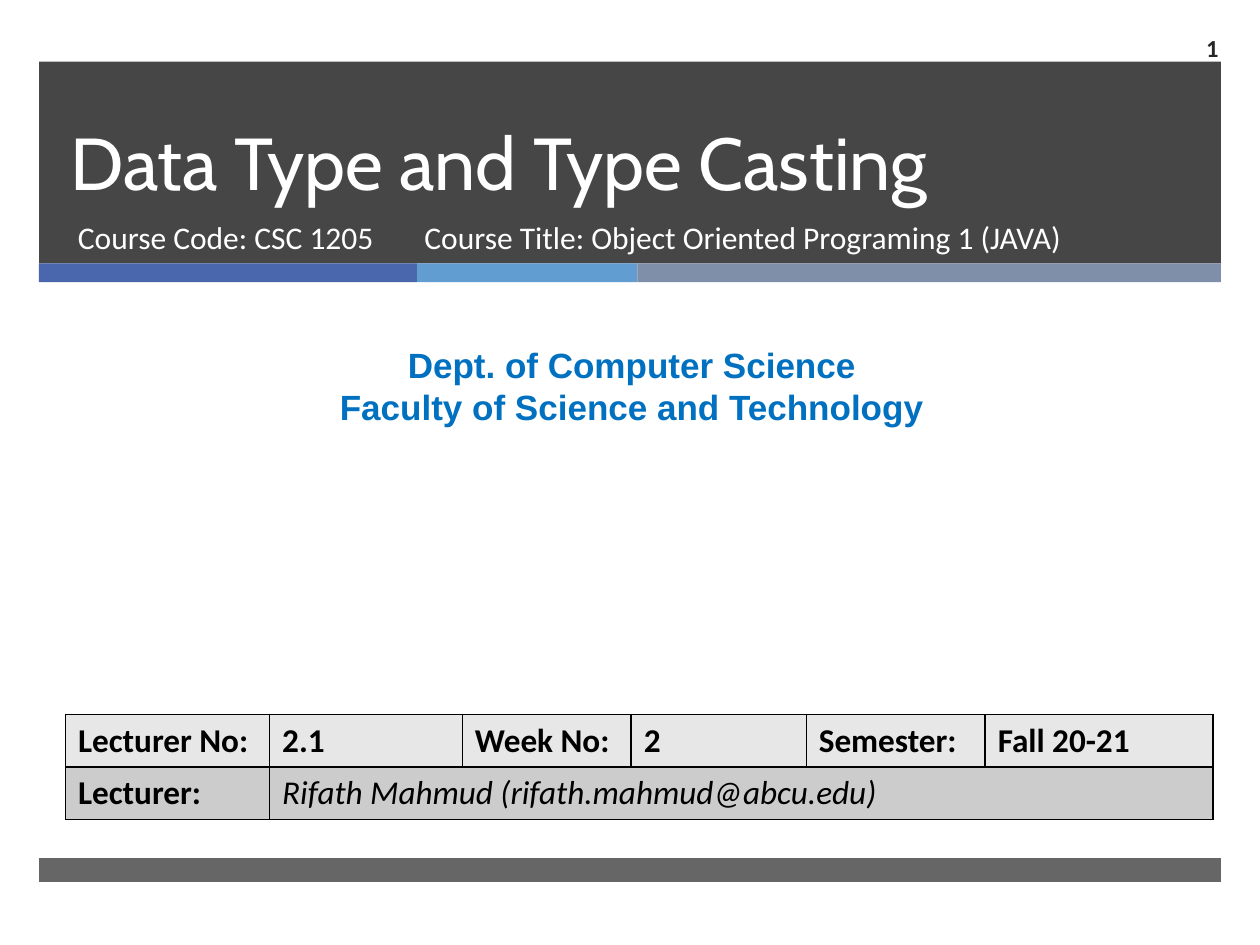
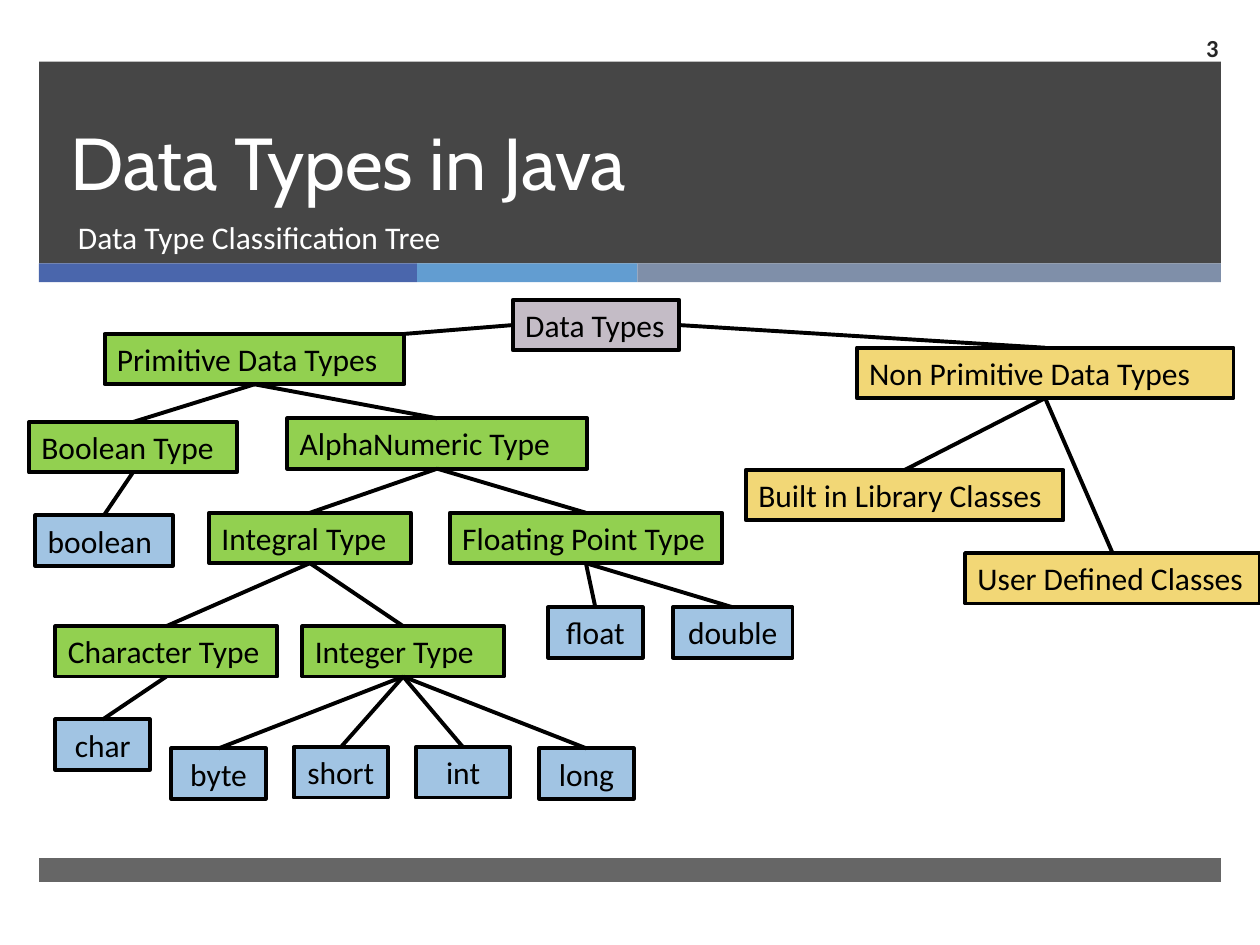
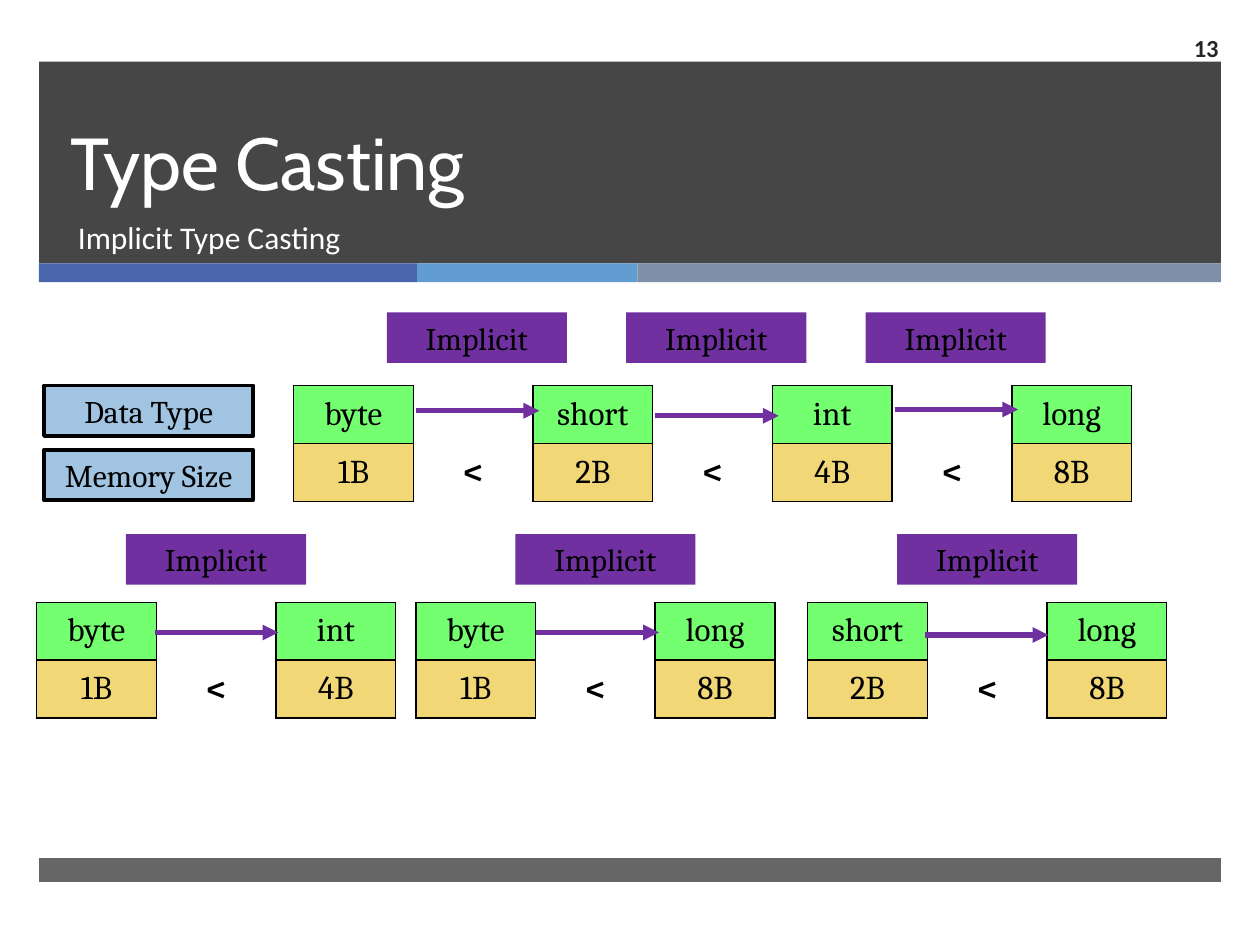
from lxml import etree
from pptx import Presentation
from pptx.dml.color import RGBColor
from pptx.enum.shapes import MSO_CONNECTOR, MSO_SHAPE
from pptx.enum.text import MSO_ANCHOR, PP_ALIGN
from pptx.oxml.ns import qn
from pptx.util import Inches, Pt

LEFT, CENTER, RIGHT = PP_ALIGN.LEFT, PP_ALIGN.CENTER, PP_ALIGN.RIGHT
TOP, MIDDLE, BOTTOM = MSO_ANCHOR.TOP, MSO_ANCHOR.MIDDLE, MSO_ANCHOR.BOTTOM
RECT, STRAIGHT = MSO_SHAPE.RECTANGLE, MSO_CONNECTOR.STRAIGHT
TOP_SITE, LEFT_SITE, BOTTOM_SITE, RIGHT_SITE = range(4)  # connection sites of a rectangle

COLORS = {
    "black": "000000", "white": "FFFFFF", "dark": "262626", "heading": "0070C0",
    "stripe1": "4A66AC", "stripe2": "629DD1", "stripe3": "7F8FA9",
    "row_light": "E7E7E7", "row_dark": "CCCCCC",
    "root": "C4BCC6", "group": "92D050", "gold": "F2D776", "leaf": "A1C4E3",
    "type": "74FF71", "purple": "7030A0",
}
BYTES = {"byte": "1B", "short": "2B", "int": "4B", "long": "8B"}
BOX_H = 0.4
CELL_W, CELL_H = 0.95, 0.46


def rgb(name):
    return RGBColor.from_string(COLORS[name])


# ---- Text, boxes and lines ----
def write(tf, text, size, color="black", font="Calibri", bold=False, italic=False,
          align=LEFT, spacing=None):
    tf.text = text
    for p in tf.paragraphs:
        p.alignment = align
        if spacing:
            p.line_spacing = Pt(spacing)
        for r in p.runs:
            r.font.size, r.font.name = Pt(size), font
            r.font.bold, r.font.italic = bold, italic
            r.font.color.rgb = rgb(color)


def add_text(s, x, y, w, h, text, size, color, anchor=TOP, **style):
    tf = s.shapes.add_textbox(Inches(x), Inches(y), Inches(w), Inches(h)).text_frame
    tf.word_wrap = True
    tf.vertical_anchor = anchor
    write(tf, text, size, color, **style)


def add_rect(s, x, y, w, h, fill, alpha=None):
    sp = s.shapes.add_shape(RECT, Inches(x), Inches(y), Inches(w), Inches(h))
    sp.shadow.inherit = False
    sp.fill.solid()
    sp.fill.fore_color.rgb = rgb(fill)
    sp.line.fill.background()
    if alpha:
        clr = sp.fill._xPr.find(qn("a:solidFill"))[0]
        etree.SubElement(clr, qn("a:alpha"), val=str(alpha * 1000))
    return sp


def add_box(s, x, y, w, fill, text, font="Calibri", align=CENTER, outlined=True):
    sp = add_rect(s, x, y, w, BOX_H, fill)
    if outlined:
        sp.line.color.rgb = rgb("black")
        sp.line.width = Pt(2.25)
    sp.text_frame.word_wrap = True
    sp.text_frame.vertical_anchor = TOP
    write(sp.text_frame, text, 18, font=font, align=align)
    return sp


def add_line(s, x1=0, y1=0, x2=0, y2=0, color="black", width=2.25, arrow=False):
    line = s.shapes.add_connector(STRAIGHT, Inches(x1), Inches(y1), Inches(x2), Inches(y2))
    line.line.color.rgb = rgb(color)
    line.line.width = Pt(width)
    if arrow:
        etree.SubElement(line.line._get_or_add_ln(), qn("a:tailEnd"), type="triangle")
    etree.SubElement(line._element.spPr, qn("a:effectLst"))
    return line


# ---- Tables ----
def add_grid(s, x, y, widths, heights):
    frame = s.shapes.add_table(len(heights), len(widths), Inches(x), Inches(y),
                               Inches(sum(widths)), Inches(sum(heights)))
    table = frame.table
    table.first_row = table.horz_banding = False
    for col, w in zip(table.columns, widths):
        col.width = Inches(w)
    for row, h in zip(table.rows, heights):
        row.height = Inches(h)
    return table


def style_cell(cell, fill=None, sides="LRTB"):
    tc_pr = cell._tc.get_or_add_tcPr()
    for side in "LRTB":
        ln = etree.SubElement(tc_pr, qn(f"a:ln{side}"), w=str(Pt(1)))
        if side in sides:
            solid = etree.SubElement(ln, qn("a:solidFill"))
            etree.SubElement(solid, qn("a:srgbClr"), val=COLORS["black"])
        else:
            etree.SubElement(ln, qn("a:noFill"))
    if fill:
        cell.fill.solid()
        cell.fill.fore_color.rgb = rgb(fill)
    else:
        cell.fill.background()


# ---- Shared frame: title band, stripes, footer, number ----
def add_frame(prs, title, subtitle, number, subtitle_w=8.48):
    s = prs.slides.add_slide(prs.slide_layouts[6])
    x, w = 0.31, 9.38
    add_rect(s, x, 0.49, w, 1.6, "dark", alpha=85)
    stripe_x = x
    for stripe_w, color in ((3, "stripe1"), (1.75, "stripe2"), (4.63, "stripe3")):
        add_rect(s, stripe_x, 2.09, stripe_w, 0.15, color)
        stripe_x += stripe_w
    add_rect(s, x, 6.81, w, 0.19, "dark", alpha=70)
    add_text(s, 0.46, 0.49, 8.54, 1.19, title, 42, "white", BOTTOM, font="Cabin", spacing=46)
    add_text(s, 0.52, 1.68, subtitle_w, 0.53, subtitle, 18, "white")
    add_text(s, 9.08, 0.18, 0.69, 0.39, str(number), 14, "dark", MIDDLE, bold=True, align=RIGHT)
    return s


# ---- Slide 1: course details ----
def lecture_table(s, x, y):
    table = add_grid(s, x, y, [1.62, 1.53, 1.34, 1.39, 1.42, 1.81], [0.41, 0.41])
    rows = [["Lecturer No:", "2.1", "Week No:", "2", "Semester:", "Fall 20-21"],
            ["Lecturer:", "Rifath Mahmud (rifath.mahmud@abcu.edu)"]]
    for r, (texts, fill) in enumerate(zip(rows, ("row_light", "row_dark"))):
        for c in range(6):
            style_cell(table.cell(r, c), fill)
        for c, text in enumerate(texts):
            is_name = (r, c) == (1, 1)
            write(table.cell(r, c).text_frame, text, 19, bold=not is_name, italic=is_name)
    table.cell(1, 1).merge(table.cell(1, 5))


def course_slide(prs):
    s = add_frame(prs, "Data Type and Type Casting", "Course Code: CSC 1205", 1, 3.05)
    add_text(s, 3.27, 1.68, 5.41, 0.53, "Course Title: Object Oriented Programing 1 (JAVA)",
             18, "white")
    add_text(s, 0.08, 2.68, 9.87, 0.77,
             "Dept. of Computer Science\nFaculty of Science and Technology",
             20, "heading", font="Arial", bold=True, align=CENTER)
    lecture_table(s, 0.52, 5.67)


# ---- Slide 2: classification tree ----
# text: (parent, x, y, width, colour), relative to the tree's corner
TREE = {
    "Data Types": (None, 3.84, 0, 1.32, "root"),
    "Primitive Data Types": ("Data Types", 0.6, 0.27, 2.38, "group"),
    "Non Primitive Data Types": ("Data Types", 6.57, 0.38, 2.99, "gold"),
    "Built in Library Classes": ("Non Primitive Data Types", 5.69, 1.35, 2.52, "gold"),
    "User Defined Classes": ("Non Primitive Data Types", 7.43, 2.01, 2.34, "gold"),
    "Boolean Type": ("Primitive Data Types", 0, 0.97, 1.65, "group"),
    "AlphaNumeric Type": ("Primitive Data Types", 2.05, 0.94, 2.38, "group"),
    "Integral Type": ("AlphaNumeric Type", 1.43, 1.69, 1.6, "group"),
    "Floating Point Type": ("AlphaNumeric Type", 3.34, 1.69, 2.16, "group"),
    "Character Type": ("Integral Type", 0.21, 2.59, 1.76, "group"),
    "Integer Type": ("Integral Type", 2.17, 2.59, 1.6, "group"),
    "boolean": ("Boolean Type", 0.05, 1.71, 1.09, "leaf"),
    "char": ("Character Type", 0.21, 3.33, 0.75, "leaf"),
    "byte": ("Integer Type", 1.13, 3.56, 0.75, "leaf"),
    "short": ("Integer Type", 2.1, 3.55, 0.75, "leaf"),
    "int": ("Integer Type", 3.07, 3.55, 0.75, "leaf"),
    "long": ("Integer Type", 4.05, 3.56, 0.75, "leaf"),
    "float": ("Floating Point Type", 4.12, 2.44, 0.75, "leaf"),
    "double": ("Floating Point Type", 5.11, 2.44, 0.95, "leaf"),
}


def type_tree(s, x, y):
    boxes = {}
    for text, (_, dx, dy, w, color) in TREE.items():
        align = CENTER if color == "leaf" and text != "boolean" else LEFT
        boxes[text] = add_box(s, x + dx, y + dy, w, color, text, align=align)
    # The root branches from its sides, every other parent from its bottom
    sites = {"Primitive Data Types": LEFT_SITE, "Non Primitive Data Types": RIGHT_SITE}
    for text, (parent, *_) in TREE.items():
        if not parent:
            continue
        child, line = boxes[text], add_line(s)
        line.begin_connect(boxes[parent], sites.get(text, BOTTOM_SITE))
        if text == "Primitive Data Types":
            line.end_x, line.end_y = child.left + child.width, child.top
        else:
            line.end_connect(child, TOP_SITE)


def tree_slide(prs):
    s = add_frame(prs, "Data Types in Java", "Data Type Classification Tree", 3)
    type_tree(s, 0.23, 2.38)


# ---- Slide 3: implicit casting ----
def casting_chain(s, x, y, types, label_dx, label_dy, arrow_dx, arrow_dys):
    columns = 2 * len(types) - 1
    table = add_grid(s, x, y, [CELL_W] * columns, [CELL_H] * 2)
    for c in range(columns):
        if c % 2:
            texts, fills, sides = ("", "<"), (None, None), "LR"
        else:
            name = types[c // 2]
            texts, fills, sides = (name, BYTES[name]), ("type", "gold"), "LRTB"
        for r in range(2):
            cell, is_sign = table.cell(r, c), texts[r] == "<"
            style_cell(cell, fills[r], sides)
            cell.vertical_anchor = MIDDLE
            write(cell.text_frame, texts[r], 20 if is_sign else 19, font="Cambria",
                  bold=is_sign, align=CENTER)
    for i, arrow_dy in enumerate(arrow_dys):
        step_x = x + 2 * i * CELL_W
        arrow_x = step_x + arrow_dx
        add_line(s, arrow_x, y + arrow_dy, arrow_x + 0.98, y + arrow_dy, "purple", 3, arrow=True)
        add_box(s, step_x + label_dx, y + label_dy, 1.43, "purple", "Implicit", "Cambria",
                outlined=False)


def casting_slide(prs):
    s = add_frame(prs, "Type Casting", "Implicit Type Casting", 13)
    for i, text in enumerate(("Data Type", "Memory Size")):
        add_box(s, 0.35, 3.06 + 0.51 * i, 1.66, "leaf", text, "Cambria")
    casting_chain(s, 2.33, 3.06, list(BYTES), 0.74, -0.58, 0.97, [0.2, 0.24, 0.19])
    casting_chain(s, 0.29, 4.78, ["byte", "int"], 0.71, -0.54, 0.94, [0.24])
    casting_chain(s, 3.3, 4.78, ["byte", "long"], 0.79, -0.54, 0.95, [0.24])
    casting_chain(s, 6.41, 4.78, ["short", "long"], 0.71, -0.54, 0.93, [0.26])


def main():
    prs = Presentation()
    prs.slide_width, prs.slide_height = Inches(10), Inches(7.5)
    course_slide(prs)
    tree_slide(prs)
    casting_slide(prs)
    prs.save("out.pptx")


if __name__ == "__main__":
    main()
